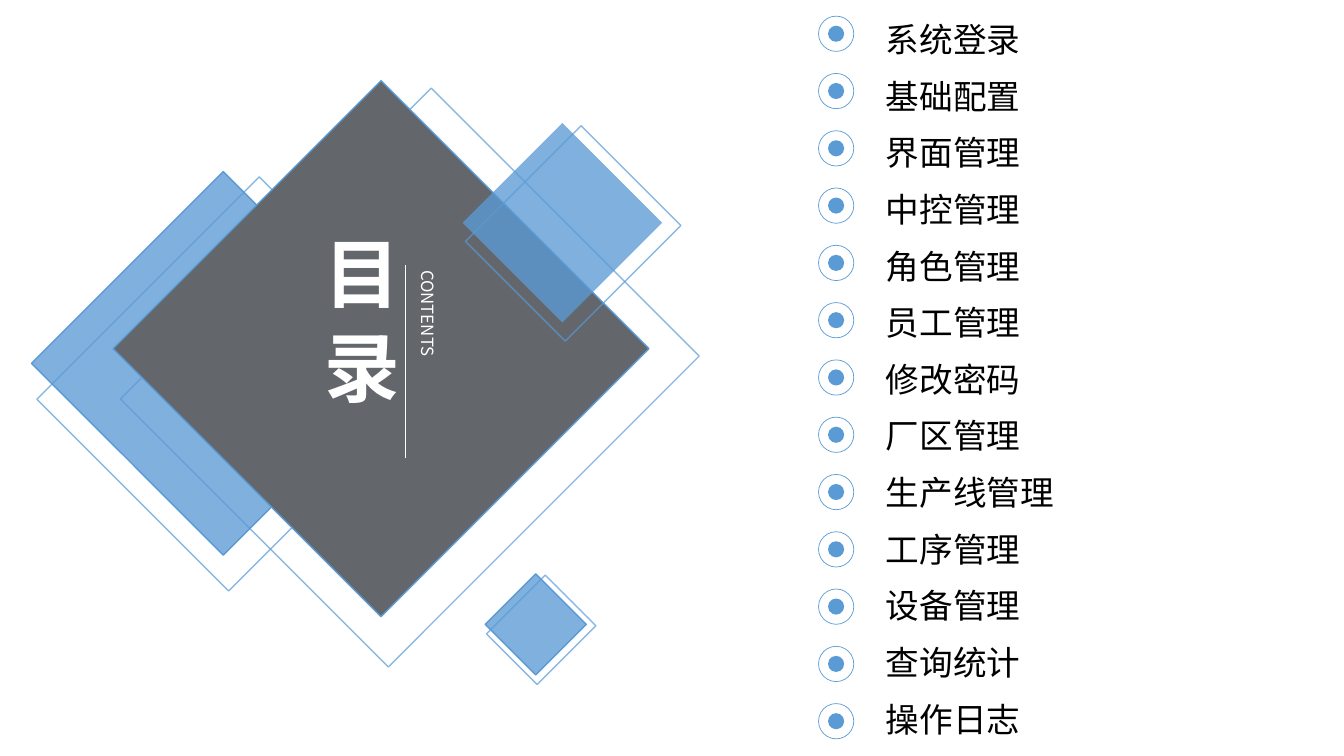
from dataclasses import dataclass
from lxml.etree import SubElement
from pptx import Presentation
from pptx.dml.color import RGBColor
from pptx.enum.shapes import MSO_CONNECTOR, MSO_SHAPE
from pptx.enum.text import MSO_ANCHOR, MSO_AUTO_SIZE, PP_ALIGN
from pptx.oxml.ns import qn
from pptx.util import Inches, Pt


@dataclass(frozen=True)
class Theme:
    blue: str = "5B9BD5"
    gray: str = "63676C"
    white: str = "FFFFFF"
    black: str = "000000"
    font: str = "Noto Sans CJK SC"
    head: int = 54
    item: int = 24
    note: int = 12
    thin: float = 0.5
    edge: float = 1
    glass: int = 78  # opacity of filled tiles, percent
    faint: int = 70  # opacity of frame lines, percent


THEME = Theme()
ROWS, COLS = 75, 133.33  # the slide as a grid of square cells
CELL = Inches(7.5) / ROWS

# Tiles: centre column, centre row, side, fill, opacity, has an edge
TILES = [
    (22.15, 36.05, 26.9, THEME.blue, THEME.glass, True),
    (37.8, 34.6, 37.6, THEME.gray, 100, True),
    (55.8, 22.1, 14, THEME.blue, THEME.glass, False),
    (53.15, 61.95, 7.1, THEME.blue, THEME.glass, True),
]
ITEMS = ["系统登录", "基础配置", "界面管理", "中控管理", "角色管理", "员工管理", "修改密码",
         "厂区管理", "生产线管理", "工序管理", "设备管理", "查询统计", "操作日志"]


def span(*cells):
    return [round(cell * CELL) for cell in cells]


def paint(fill, color, alpha=100):
    fill.solid()
    fill.fore_color.rgb = RGBColor.from_string(color)
    if alpha < 100:
        tint = fill._xPr.find(qn("a:solidFill"))[0]
        SubElement(tint, qn("a:alpha"), val=str(alpha * 1000))


def draw(slide, kind, mid, size, fill=None, line=None, width=1, alpha=100):
    """Add a shape centred on mid; alpha applies to the fill, or to the line if unfilled."""
    (x, y), (w, h) = mid, size
    shape = slide.shapes.add_shape(kind, *span(x - w / 2, y - h / 2, w, h))
    shape.shadow.inherit = False
    if fill:
        paint(shape.fill, fill, alpha)
    else:
        shape.fill.background()
    if line:
        paint(shape.line.fill, line, 100 if fill else alpha)
        shape.line.width = Pt(width)
    else:
        shape.line.fill.background()
    return shape


def write(shape, text, size, color, align, bold=False, upright=False):
    frame = shape.text_frame
    frame.text = text
    frame.word_wrap = True
    frame.auto_size = MSO_AUTO_SIZE.SHAPE_TO_FIT_TEXT
    frame.vertical_anchor = MSO_ANCHOR.TOP
    if upright:
        frame.margin_left = frame.margin_right = 0
        frame.margin_top = frame.margin_bottom = 0
        frame._txBody.bodyPr.set("vert", "eaVert")
    para = frame.paragraphs[0]
    para.alignment = align
    font = para.font
    font.name, font.size, font.bold = THEME.font, Pt(size), bold
    font.color.rgb = RGBColor.from_string(color)
    SubElement(font._element, qn("a:ea"), typeface=THEME.font)


def tiles(slide, box):
    """Turned squares, each over a longer frame shifted down and right."""
    left, top = box[:2]
    for x, y, side, fill, alpha, edged in TILES:
        x, y, shift = left + x, top + y, side * 0.076
        frame = draw(slide, MSO_SHAPE.RECTANGLE, (x + shift, y + shift), (side, side * 1.16),
                     line=THEME.blue, width=THEME.edge, alpha=THEME.faint)
        tile = draw(slide, MSO_SHAPE.RECTANGLE, (x, y), (side, side), fill,
                    THEME.blue if edged else None, THEME.edge, alpha)
        frame.rotation = tile.rotation = 45


def heading(slide, box):
    """Vertical title, its rule and the small caption."""
    left, top, width, height = box
    title = slide.shapes.title
    title.left, title.top, title.width, title.height = span(left, top, 9.1, height)
    write(title, "目 录", THEME.head, THEME.white, PP_ALIGN.CENTER, True, True)
    slide.shapes._spTree.append(title._element)  # bring above the tiles

    note = slide.shapes.add_textbox(*span(left + width - 2, top + 3.4, 2, 19.1))
    write(note, "CONTENTS", THEME.note, THEME.white, PP_ALIGN.JUSTIFY, upright=True)

    x, y = left + 9.1, top + 2.9
    rule = slide.shapes.add_connector(MSO_CONNECTOR.STRAIGHT, *span(x, y, x, y + 19.1))
    paint(rule.line.fill, THEME.white)
    rule.line.width = Pt(THEME.thin)
    SubElement(rule._element.spPr, qn("a:effectLst"))


def agenda(slide, box):
    """One ringed dot and one label per row."""
    left, top, width, height = box
    last = len(ITEMS) - 1
    ring, dot, tall, indent = 3.5, 1.6, 5, 5.7
    for row, item in enumerate(ITEMS):
        mid = left + ring / 2, top + 1.95 + row * 68.2 / last
        draw(slide, MSO_SHAPE.OVAL, mid, (ring, ring), line=THEME.blue, width=THEME.thin)
        draw(slide, MSO_SHAPE.OVAL, mid, (dot, dot), THEME.blue)
        label = slide.shapes.add_textbox(
            *span(left + indent, top + row * (height - tall) / last, width - indent, tall))
        write(label, item, THEME.item, THEME.black, PP_ALIGN.JUSTIFY)


deck = Presentation()
deck.slide_width, deck.slide_height = span(COLS, ROWS)
page = deck.slides.add_slide(deck.slide_layouts[5])
tiles(page, (0, 0, 70, ROWS))
heading(page, (31.1, 23.4, 12.4, 23.9))
agenda(page, (81.2, 1.4, 26.1, 72.4))
deck.save("out.pptx")
